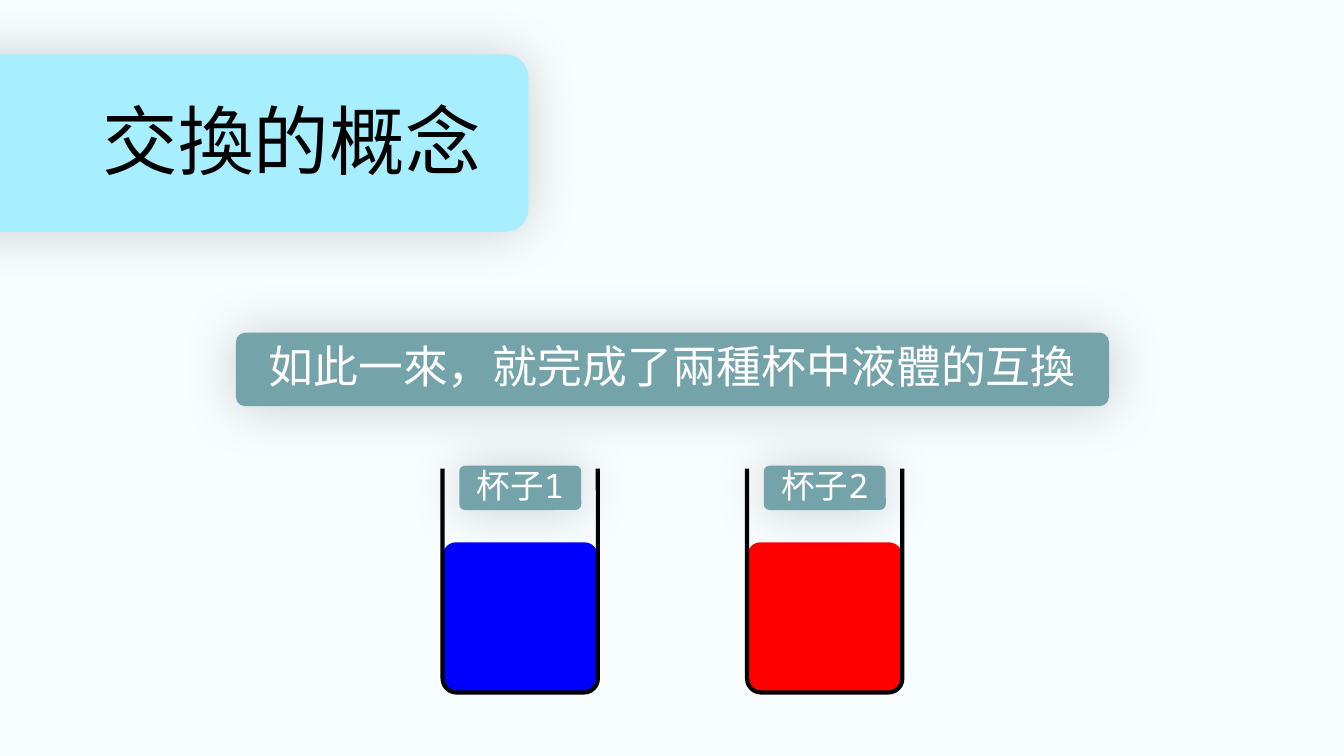
import pptx
import pptx.dml.color
import pptx.enum.shapes
import pptx.enum.text
import pptx.oxml
import pptx.oxml.ns
import pptx.util
from pptx.util import Inches

COLORS = {
    "background": "F8FDFF",
    "title_band": "A7EEFF",
    "label": "75A3AA",
    "blue_liquid": "0000FF",
    "red_liquid": "FF0000",
    "black": "000000",
    "white": "FFFFFF",
}
FONT = "Noto Sans Mono"
LABEL_ROUNDING = 0.128
CUP_ROUNDING = 0.09


def rgb(name):
    return pptx.dml.color.RGBColor.from_string(COLORS[name])


def add_glow(shape):
    """Give the shape a soft shadow spreading evenly on all sides."""
    shadow = pptx.oxml.parse_xml(
        f'<a:effectLst {pptx.oxml.ns.nsdecls("a")}>'
        f'<a:outerShdw blurRad="{pptx.util.Pt(38)}" dist="0" dir="0" algn="ctr" rotWithShape="0">'
        f'<a:srgbClr val="{COLORS["black"]}"><a:alpha val="19000"/></a:srgbClr>'
        "</a:outerShdw></a:effectLst>"
    )
    properties = shape._element.spPr
    properties.remove(properties.find(pptx.oxml.ns.qn("a:effectLst")))
    properties.append(shadow)


def add_rounded(parent, left, top, width, height, rounding, fill=None, line=None, glow=False):
    shape = parent.shapes.add_shape(
        pptx.enum.shapes.MSO_SHAPE.ROUNDED_RECTANGLE,
        Inches(left), Inches(top), Inches(width), Inches(height),
    )
    shape.adjustments[0] = rounding
    shape.shadow.inherit = False
    if fill:
        shape.fill.solid()
        shape.fill.fore_color.rgb = rgb(fill)
    else:
        shape.fill.background()
    if line:
        shape.line.color.rgb = rgb(line)
        shape.line.width = pptx.util.Pt(3)
    else:
        shape.line.fill.background()
    if glow:
        add_glow(shape)
    return shape


def write_text(shape, text, size, color, align, wrap=True):
    frame = shape.text_frame
    frame.word_wrap = wrap
    frame.vertical_anchor = pptx.enum.text.MSO_ANCHOR.MIDDLE
    paragraph = frame.paragraphs[0]
    paragraph.alignment = align
    paragraph.line_spacing = 0.9
    run = paragraph.add_run()
    run.text = text
    run.font.size = pptx.util.Pt(size)
    run.font.name = FONT
    run.font.color.rgb = rgb(color)
    east_asian = pptx.oxml.parse_xml(
        f'<a:ea {pptx.oxml.ns.nsdecls("a")} typeface="{FONT}"/>'
    )
    run.font._element.append(east_asian)


def add_title(slide, text, left, top, width, height):
    add_rounded(slide, left, top, width, height, LABEL_ROUNDING, fill="title_band", glow=True)
    title = slide.shapes.add_textbox(
        Inches(0.92), Inches(top + 0.17), Inches(11.5), Inches(1.45)
    )
    write_text(title, text, 54, "black", pptx.enum.text.PP_ALIGN.LEFT)


def add_label(slide, text, size, left, top, width, height):
    label = add_rounded(slide, left, top, width, height, LABEL_ROUNDING, fill="label", glow=True)
    write_text(label, text, size, "white", pptx.enum.text.PP_ALIGN.CENTER, wrap=False)


def add_cup(slide, text, liquid_color, left, top, width, height):
    """Draw liquid, glass and a cover that opens the rim, then the cup's label."""
    cup = slide.shapes.add_group_shape()
    liquid_top = top + 0.9
    add_rounded(cup, left, liquid_top, width, top + height - liquid_top, CUP_ROUNDING,
                fill=liquid_color)
    add_rounded(cup, left, top, width, height, CUP_ROUNDING, line="black")
    add_rounded(cup, left - 0.23, top - 0.1, width + 0.46, 0.27, CUP_ROUNDING,
                fill="background")
    label_width = 1.21
    add_label(slide, text, 24, left + (width - label_width) / 2, top + 0.14, label_width, 0.44)


def main():
    presentation = pptx.Presentation()
    presentation.slide_width = Inches(13.33)
    presentation.slide_height = Inches(7.5)
    slide = presentation.slides.add_slide(presentation.slide_layouts[6])
    slide.background.fill.solid()
    slide.background.fill.fore_color.rgb = rgb("background")

    add_title(slide, "交換的概念", -1.57, 0.54, 6.81, 1.76)
    cups = [("杯子1", "blue_liquid"), ("杯子2", "red_liquid")]
    for index, (text, liquid_color) in enumerate(cups):
        add_cup(slide, text, liquid_color, 4.39 + index * 3.02, 4.48, 1.54, 2.39)
    add_label(slide, "如此一來，就完成了兩種杯中液體的互換", 32, 2.34, 3.3, 8.66, 0.73)

    presentation.save("out.pptx")


if __name__ == "__main__":
    main()
